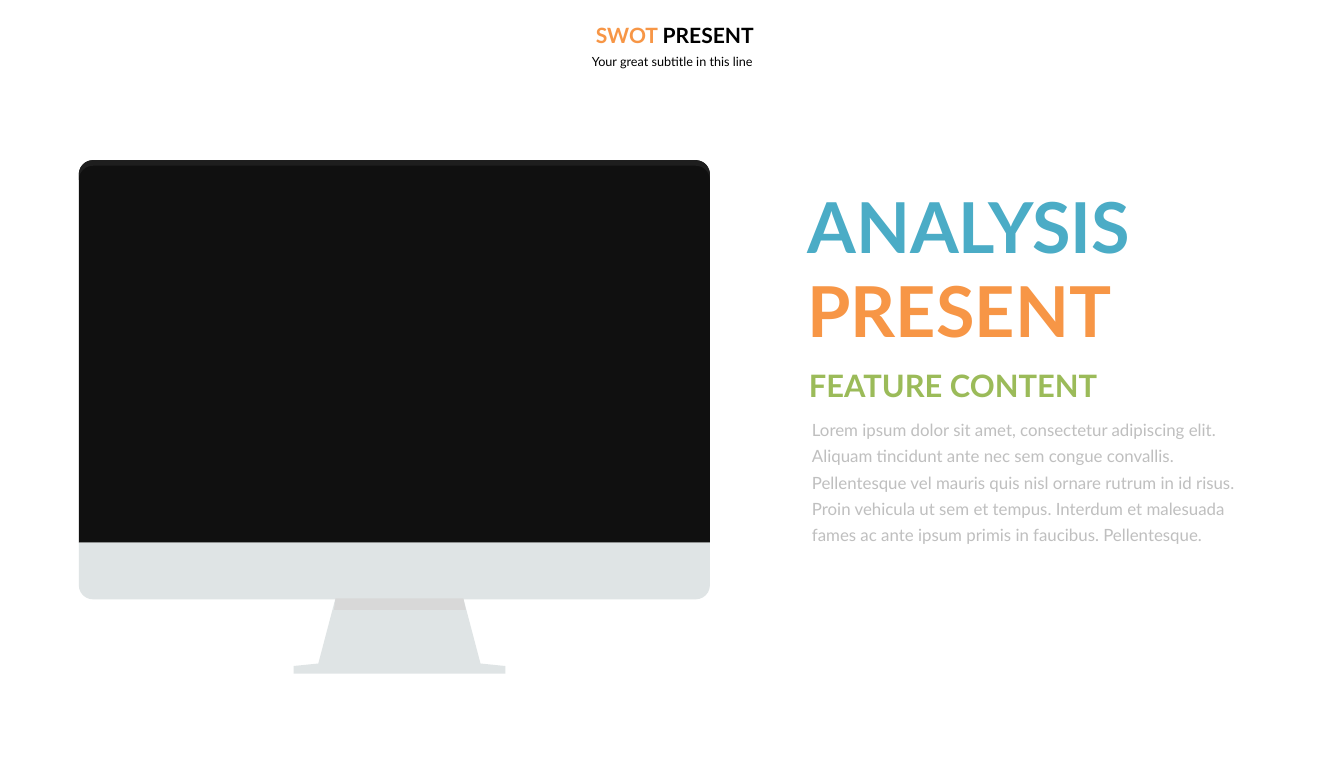
import math

import pptx
import pptx.dml.color
import pptx.enum.shapes
import pptx.enum.text
import pptx.util

PX = 9144
FONT = "Lato"
COLORS = {
    "screen": "101010",
    "bezel": "1E1E1E",
    "case": "DFE4E5",
    "shade": "D8D8D8",
    "orange": "F79646",
    "blue": "4BACC6",
    "green": "9BBB59",
    "gray": "BFBFBF",
    "black": "000000",
}


def color(name):
    """Return the named colour."""
    return pptx.dml.color.RGBColor.from_string(COLORS[name])


def paint(shape, fill):
    """Give a shape a flat fill without line or shadow."""
    shape.shadow.inherit = False
    shape.fill.solid()
    shape.fill.fore_color.rgb = color(fill)
    shape.line.fill.background()


def add_text(slide, box, runs, size, bold=False, align="LEFT", anchor="TOP",
             inset=(10, 5), line_spacing=None):
    """Add a text box holding one paragraph of (text, colour) runs."""
    shape = slide.shapes.add_textbox(*(value * PX for value in box))
    frame = shape.text_frame
    frame.word_wrap = True
    frame.auto_size = pptx.enum.text.MSO_AUTO_SIZE.SHAPE_TO_FIT_TEXT
    frame.vertical_anchor = getattr(pptx.enum.text.MSO_ANCHOR, anchor)
    frame.margin_left = frame.margin_right = inset[0] * PX
    frame.margin_top = frame.margin_bottom = inset[1] * PX
    paragraph = frame.paragraphs[0]
    paragraph.alignment = getattr(pptx.enum.text.PP_ALIGN, align)
    if line_spacing:
        paragraph.line_spacing = line_spacing
    for text, fill in runs:
        run = paragraph.add_run()
        run.text = text
        run.font.name = FONT
        run.font.size = pptx.util.Pt(size)
        run.font.bold = bold
        run.font.color.rgb = color(fill)


def add_panel(slide, box, fill, top_radius=0, bottom_radius=0):
    """Add a panel with rounded top or bottom corners."""
    shape = slide.shapes.add_shape(
        pptx.enum.shapes.MSO_SHAPE.ROUND_2_SAME_RECTANGLE,
        *(value * PX for value in box))
    shape.adjustments[0] = top_radius / min(box[2:])
    shape.adjustments[1] = bottom_radius / min(box[2:])
    paint(shape, fill)


def add_polygon(slide, left, top, points, fill):
    """Add a closed outline whose points are relative to left and top."""
    corners = [(round((left + x) * PX), round((top + y) * PX)) for x, y in points]
    builder = slide.shapes.build_freeform(*corners[0])
    builder.add_line_segments(corners[1:], close=True)
    paint(builder.convert_to_shape(), fill)


def add_bezel(slide, left, top, width, radius, thickness):
    """Add the thin band that follows the rounded top edge of the screen."""
    angles = [math.radians(degrees) for degrees in range(0, 91, 6)]
    left_arc = [(radius - radius * math.cos(angle), radius - radius * math.sin(angle))
                for angle in angles]
    outer = left_arc + [(width - x, y) for x, y in reversed(left_arc)]
    inner = [(x, y + thickness) for x, y in reversed(outer)]
    add_polygon(slide, left, top, outer + inner, "bezel")


def add_stand(slide, left, top, width, height):
    """Add the symmetric foot of the monitor and the shade on its neck."""
    half = [(0, height), (0, 134), (49, 129), (83, 0)]
    mirrored = [(width - x, y) for x, y in reversed(half)]
    add_polygon(slide, left, top, half + mirrored, "case")
    shade = [(80, 23), (83, 0), (width - 83, 0), (width - 78, 23)]
    add_polygon(slide, left, top, shade, "shade")


def add_monitor(slide, left, top, width, height):
    """Draw the desktop monitor inside its box."""
    radius, screen_height, chin_height = 28, 757, 112
    chin_bottom = screen_height + chin_height
    stand_width, stand_top = 419, chin_bottom - 2
    add_panel(slide, (left, top, width, screen_height), "screen", top_radius=radius)
    add_bezel(slide, left, top, width, radius, 11)
    add_panel(slide, (left, top + screen_height, width, chin_height), "case",
              bottom_radius=radius)
    add_stand(slide, left + 425, top + stand_top, stand_width, height - stand_top)


def add_header(slide, left, top, width):
    """Write the slide title and its subtitle."""
    add_text(slide, (left + 92, top + 61, width - 194, 55),
             [("Your great subtitle in this line", "black")],
             size=18, align="CENTER", inset=(24, 12))
    add_text(slide, (left, top, width, 71), [("SWOT ", "orange"), ("PRESENT", "black")],
             size=30, bold=True, align="CENTER", inset=(20, 10))


def add_feature(slide, left, top, width):
    """Write the large heading, the feature heading and the body text."""
    body = ("Lorem ipsum dolor sit amet, consectetur adipiscing elit. "
            "Aliquam tincidunt ante nec sem congue convallis. "
            "Pellentesque vel mauris quis nisl ornare rutrum in id risus. "
            "Proin vehicula ut sem et tempus. Interdum et malesuada "
            "fames ac ante ipsum primis in faucibus. Pellentesque.")
    add_text(slide, (left, top + 446, width, 289), [(body, "gray")], size=24,
             anchor="MIDDLE", inset=(27, 13), line_spacing=1.3)
    add_text(slide, (left + 11, top + 363, 752, 84), [("FEATURE CONTENT", "green")],
             size=44, bold=True)
    add_text(slide, (left + 8, top, 784, 347),
             [("ANALYSIS ", "blue"), ("PRESENT", "orange")], size=100, bold=True)


def main():
    """Build and save the slide."""
    presentation = pptx.Presentation()
    presentation.slide_width = 2660 * PX
    presentation.slide_height = 1500 * PX
    slide = presentation.slides.add_slide(presentation.slide_layouts[6])
    add_monitor(slide, 156, 317, 1249, 1016)
    add_feature(slide, 1580, 358, 937)
    add_header(slide, 830, 34, 1011)
    presentation.save("out.pptx")


if __name__ == "__main__":
    main()
